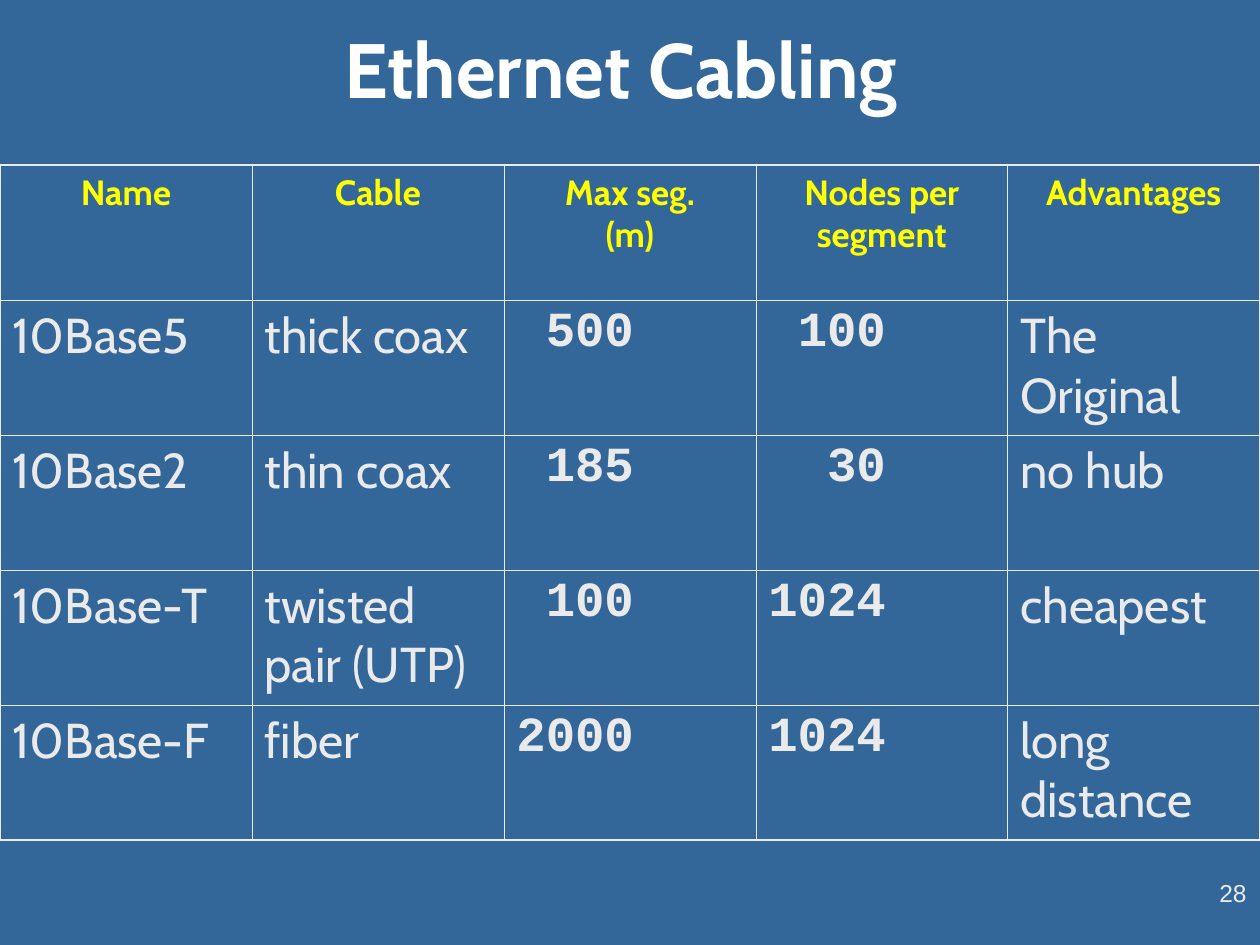
import lxml.etree
import pptx
import pptx.dml.color
import pptx.enum.text
import pptx.oxml.ns
import pptx.util

SCALE = 914400 // 126
COLORS = {"background": "336699", "title": "FFFFFF", "heading": "FFFF00", "body": "EAEAEA"}
ALIGN = pptx.enum.text.PP_ALIGN
MIDDLE = pptx.enum.text.MSO_ANCHOR.MIDDLE


def px(length):
    return pptx.util.Emu(length * SCALE)


def write_text(frame, text, size, color, font="Cabin", bold=False, align=ALIGN.LEFT, before=0):
    frame.word_wrap = True
    para = frame.paragraphs[0]
    para.text = text
    para.alignment = align
    para.space_before = pptx.util.Pt(before)
    for span in para.runs:
        span.font.name = font
        span.font.size = pptx.util.Pt(size)
        span.font.bold = bold
        span.font.color.rgb = pptx.dml.color.RGBColor.from_string(COLORS[color])


deck = pptx.Presentation()
deck.slide_width, deck.slide_height = px(1260), px(945)
page = deck.slides.add_slide(deck.slide_layouts[6])
page.background.fill.solid()
page.background.fill.fore_color.rgb = pptx.dml.color.RGBColor.from_string(COLORS["background"])

number_box = page.shapes.add_textbox(px(997), px(861), px(262), px(63))
number_box.text_frame.vertical_anchor = MIDDLE
write_text(number_box.text_frame, "28", size=14, color="body", font="Arial", align=ALIGN.RIGHT)

title_box = page.shapes.add_textbox(px(0), px(0), px(1260), px(135))
title_box.text_frame.vertical_anchor = MIDDLE
write_text(title_box.text_frame, "Ethernet Cabling ", size=44, color="title", bold=True, align=ALIGN.CENTER)

cabling = [
    ["Name", "Cable", "Max seg.\v(m)", "Nodes per segment", "Advantages"],
    ["10Base5", "thick coax", "500", "100", "The Original"],
    ["10Base2", "thin coax", "185", "30", "no hub"],
    ["10Base-T", "twisted pair (UTP)", "100", "1024", "cheapest"],
    ["10Base-F", "fiber", "2000", "1024", "long distance"],
]
last = len(cabling) - 1
table = page.shapes.add_table(5, 5, px(0), px(165), px(1260), px(675)).table
table.first_row = False
table.horz_banding = False

for row, entries in enumerate(cabling):
    table.rows[row].height = px(135)
    for column, text in enumerate(entries):
        cell = table.cell(row, column)
        if row == 0:
            write_text(cell.text_frame, text, size=20, color="heading", bold=True, align=ALIGN.CENTER, before=5)
        elif text.isdigit():
            cell.margin_left, cell.margin_right = px(0), px(122)
            write_text(cell.text_frame, text, size=28, color="body", font="Courier New",
                       bold=True, align=ALIGN.RIGHT, before=7)
        else:
            write_text(cell.text_frame, text, size=28, color="body", before=7)

        properties = cell._tc.get_or_add_tcPr()
        outer_edges = {"L": column == 0, "R": column == last, "T": row == 0, "B": row == last}
        for side, outer in outer_edges.items():
            width = pptx.util.Pt(1.08 if outer else 0.45)
            line = lxml.etree.SubElement(properties, pptx.oxml.ns.qn("a:ln" + side), w=str(width))
            fill = lxml.etree.SubElement(line, pptx.oxml.ns.qn("a:solidFill"))
            lxml.etree.SubElement(fill, pptx.oxml.ns.qn("a:srgbClr"), val=COLORS["body"])
        cell.fill.background()

deck.save("out.pptx")
